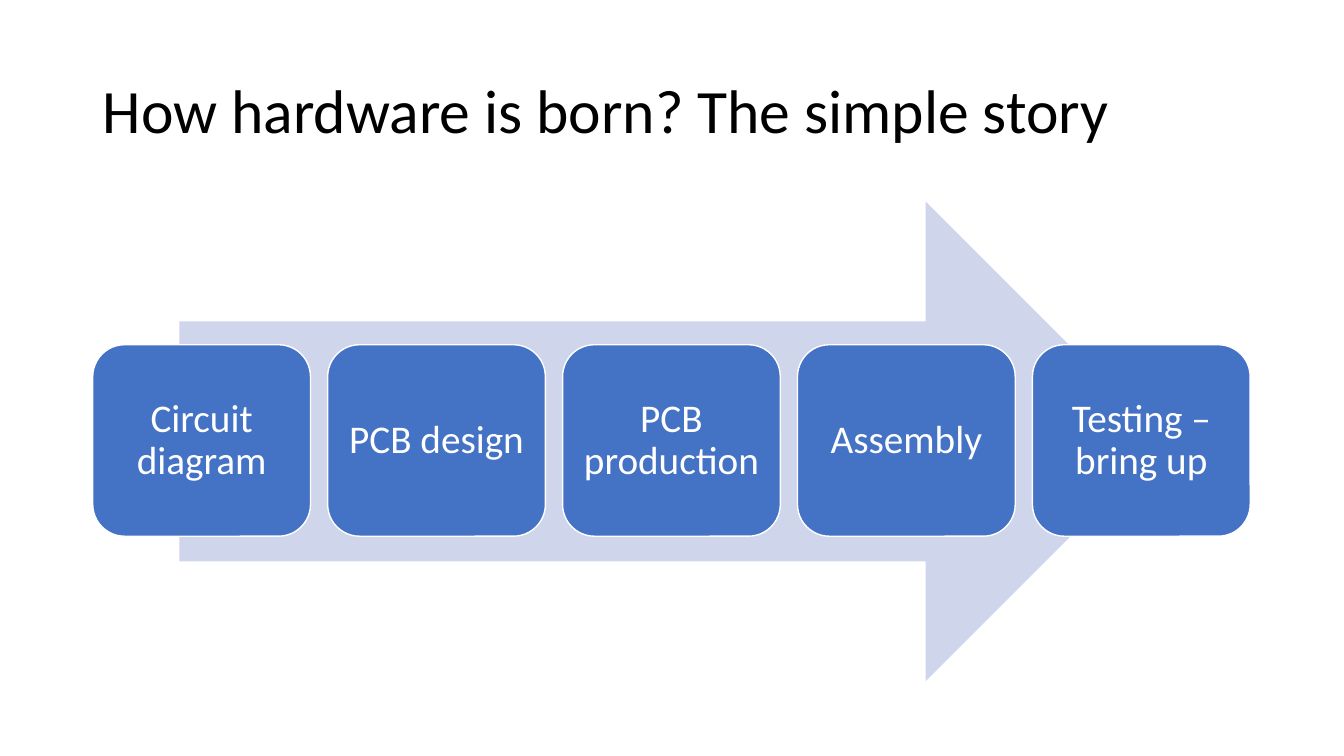
from pptx import Presentation
from pptx.dml.color import RGBColor
from pptx.enum.shapes import MSO_SHAPE as Shape
from pptx.enum.text import MSO_ANCHOR as Anchor, PP_ALIGN as Align
from pptx.util import Inches, Pt

BLACK = RGBColor(0x00, 0x00, 0x00)
WHITE = RGBColor(0xFF, 0xFF, 0xFF)
BLUE = RGBColor(0x44, 0x72, 0xC4)
PALE = RGBColor(0xCF, 0xD5, 0xEA)
FONT = "Calibri"

STEPS = ["Circuit diagram", "PCB design", "PCB production", "Assembly",
         "Testing – bring up"]
LEFT, TOP, WIDTH, HEIGHT = 0.92, 3.42, 2.16, 1.9
PITCH = 2.33


def set_text(shape, text, size, color, align):
    frame = shape.text_frame
    frame.text = text
    frame.word_wrap = True
    frame.vertical_anchor = Anchor.MIDDLE
    para = frame.paragraphs[0]
    para.alignment = align
    para.line_spacing = 0.9
    font = para.runs[0].font
    font.name = FONT
    font.size = Pt(size)
    font.color.rgb = color


def add_block(slide, kind, left, top, width, height, fill):
    block = slide.shapes.add_shape(kind, Inches(left), Inches(top),
                                   Inches(width), Inches(height))
    block.shadow.inherit = False
    block.fill.solid()
    block.fill.fore_color.rgb = fill
    block.line.fill.background()
    return block


def add_title(slide, text):
    title = slide.shapes.title
    title.left, title.top = Inches(0.92), Inches(0.4)
    title.width, title.height = Inches(11.5), Inches(1.45)
    set_text(title, text, 44, BLACK, Align.LEFT)


def add_step(slide, left, text):
    step = add_block(slide, Shape.ROUNDED_RECTANGLE, left, TOP, WIDTH, HEIGHT,
                     BLUE)
    step.line.color.rgb = WHITE
    step.line.width = Pt(1)
    frame = step.text_frame
    frame.margin_left = frame.margin_right = Inches(0.1)
    frame.margin_top = frame.margin_bottom = Inches(0.12)
    set_text(step, text, 28, WHITE, Align.CENTER)


def main():
    deck = Presentation()
    deck.slide_width, deck.slide_height = Inches(13.33), Inches(7.5)
    slide = deck.slides.add_slide(deck.slide_layouts.get_by_name("Title Only"))

    add_title(slide, "How hardware is born? The simple story")

    # Arrow behind the steps
    add_block(slide, Shape.RIGHT_ARROW, 1.78, 2, 9.78, 4.76, PALE)

    # Steps from left to right
    for i, text in enumerate(STEPS):
        add_step(slide, LEFT + i * PITCH, text)

    deck.save("out.pptx")


if __name__ == "__main__":
    main()
